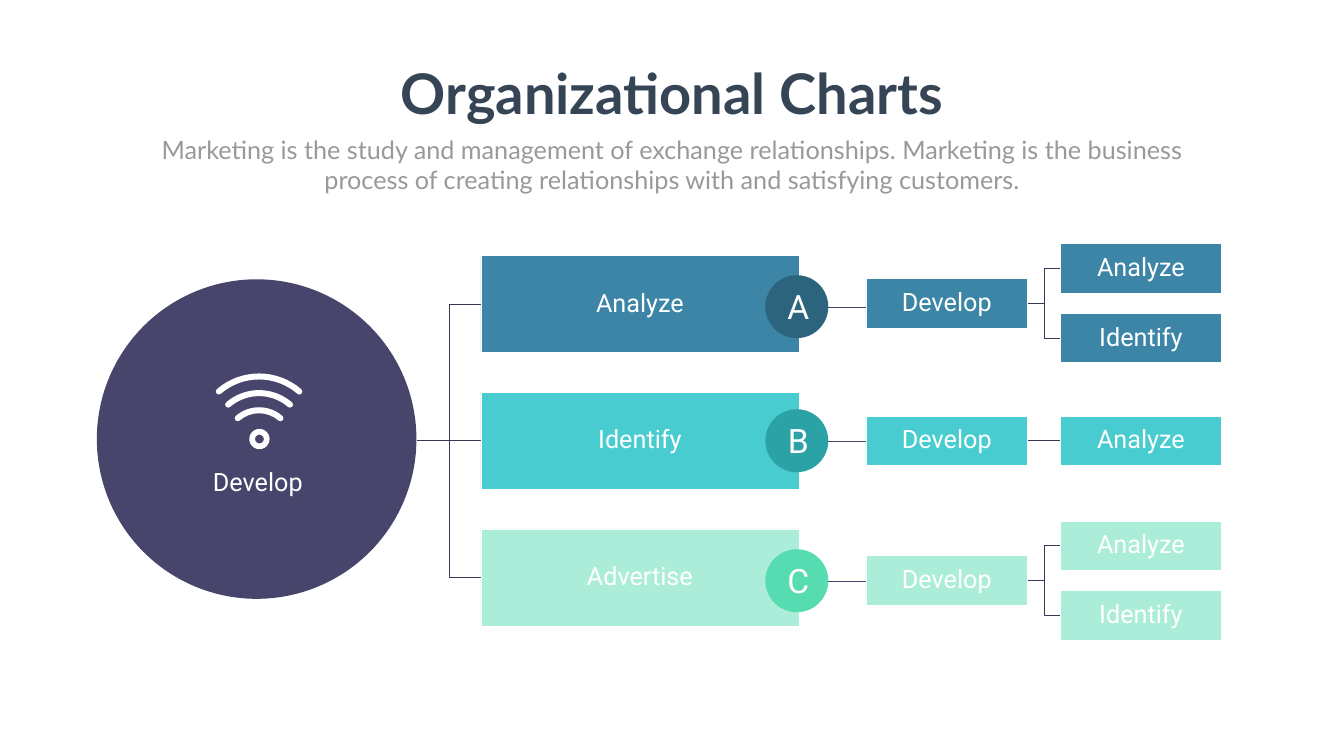
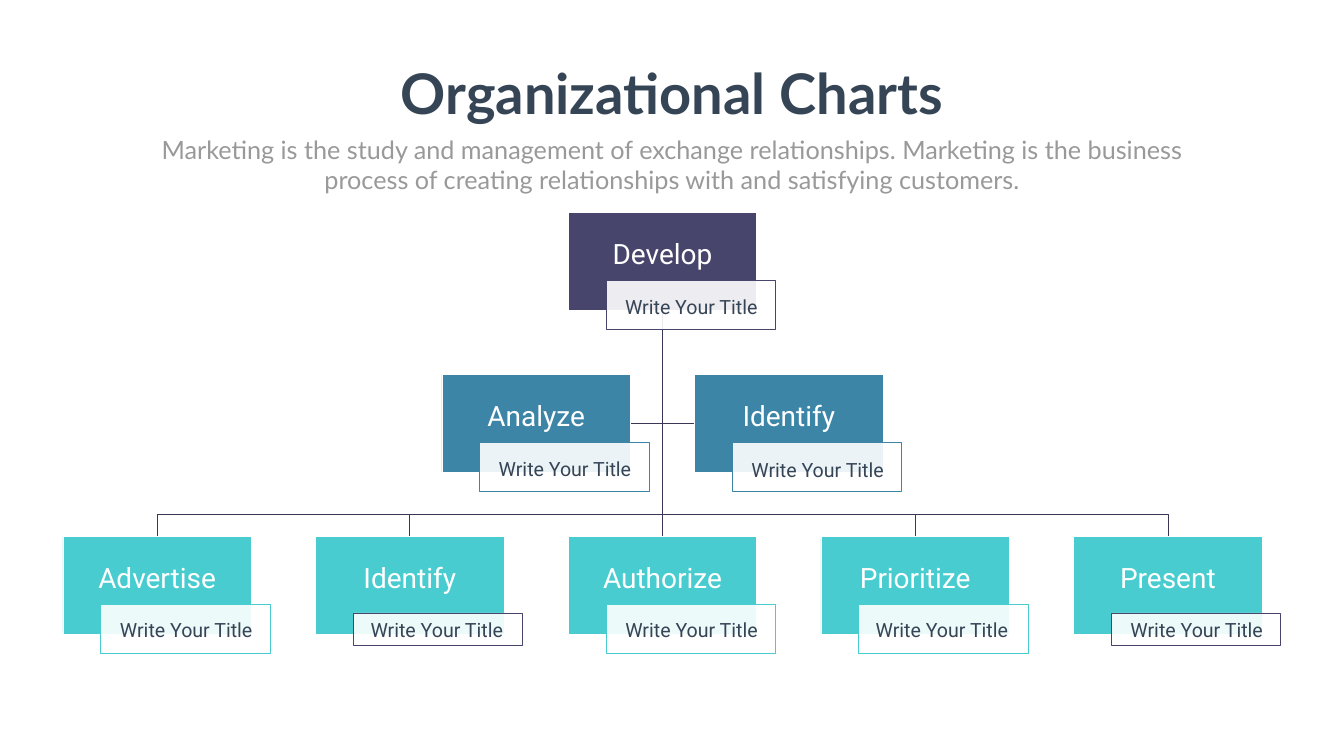
import math

from lxml import etree
from pptx import Presentation
from pptx import util as u
from pptx.dml import color
from pptx.enum import shapes, text
from pptx.oxml import ns

NAVY, BLUE, TEAL, MINT = "48456C", "3C85A7", "48CCCF", "ABEDD8"
INK, GREY, WHITE, WIRE = "364556", "999999", "FFFFFF", "3A3756"

HEADING = "Organizational Charts"
SUMMARY = ("Marketing is the study and management of exchange relationships. "
           "Marketing is the business process of creating relationships with "
           "and satisfying customers.")

HEADING_FONT = {"name": "Lato", "size": u.Pt(80), "bold": True}
SUMMARY_FONT = {"name": "Lato", "size": u.Pt(36), "bold": False}

RECT = shapes.MSO_SHAPE.RECTANGLE
OVAL = shapes.MSO_SHAPE.OVAL
TOP, MIDDLE = text.MSO_ANCHOR.TOP, text.MSO_ANCHOR.MIDDLE


def rgb(code):
    return color.RGBColor.from_string(code)


def roboto(points):
    return {"name": "Roboto", "size": u.Pt(points)}


def put_text(frame, words, font, ink, insets=None, spacing=1.0, anchor=TOP, wrap=True):
    """Fill a frame with one centred paragraph; insets are left, top, right, bottom."""
    layout = {"word_wrap": wrap, "vertical_anchor": anchor,
              "auto_size": text.MSO_AUTO_SIZE.NONE}
    if insets:
        sides = ("left", "top", "right", "bottom")
        layout.update({f"margin_{side}": u.Pt(gap) for side, gap in zip(sides, insets)})
    for key, value in layout.items():
        setattr(frame, key, value)
    line = frame.paragraphs[0]
    for key, value in {"alignment": text.PP_ALIGN.CENTER, "line_spacing": spacing,
                       "space_before": u.Pt(0)}.items():
        setattr(line, key, value)
    run = line.add_run()
    run.text = words
    for key, value in font.items():
        setattr(run.font, key, value)
    run.font.color.rgb = rgb(ink)


def caption(slide, box, words, size, ink, **layout):
    holder = slide.shapes.add_textbox(*map(u.Pt, box))
    put_text(holder.text_frame, words, roboto(size), ink, **layout)


def paint(shape, fill=None, outline=None, alpha=None):
    shape.shadow.inherit = False
    if fill:
        shape.fill.solid()
        shape.fill.fore_color.rgb = rgb(fill)
        if alpha:
            tint = shape.element.spPr.find(".//" + ns.qn("a:srgbClr"))
            etree.SubElement(tint, ns.qn("a:alpha"), val=str(alpha * 1000))
    else:
        shape.fill.background()
    if outline:
        shape.line.color.rgb = rgb(outline)
        shape.line.width = u.Pt(1)
    else:
        shape.line.fill.background()


def block(slide, kind, box, fill, outline=None, alpha=None):
    shape = slide.shapes.add_shape(kind, *map(u.Pt, box))
    paint(shape, fill, outline, alpha)
    return shape


def label_box(slide, box, words, fill, size=36, bottom=2):
    """A white-edged rectangle with a white label."""
    shape = block(slide, RECT, box, fill, WHITE)
    put_text(shape.text_frame, words, roboto(size), WHITE, (2, 2, 2, bottom), 0.9, MIDDLE)


def stem(slide, start, end):
    link = slide.shapes.add_connector(shapes.MSO_CONNECTOR.STRAIGHT,
                                      *map(u.Pt, (*start, *end)))
    link.line.color.rgb = rgb(NAVY)
    link.line.width = u.Pt(0.5)
    etree.SubElement(link.element.spPr, ns.qn("a:effectLst"))


def outline_shape(slide, points, close):
    corners = [(u.Pt(x), u.Pt(y)) for x, y in points]
    builder = slide.shapes.build_freeform(*corners[0])
    builder.add_line_segments(corners[1:], close=close)
    return builder.convert_to_shape()


def give_depth(shape, edge, extent, axis, size_key, pad=u.Pt(3.6)):
    """Widen the frame of a flat outline, leaving its line in the middle."""
    setattr(shape, edge, getattr(shape, edge) - pad)
    setattr(shape, extent, 2 * pad)
    route = shape.element.spPr.find(".//" + ns.qn("a:path"))
    route.set(size_key, str(2 * pad))
    for point in route.iter(ns.qn("a:pt")):
        point.set(axis, str(pad))


def wire(slide, *points):
    """Link the points in order."""
    route = outline_shape(slide, points, close=False)
    if route.width == 0:
        give_depth(route, "left", "width", "x", "w")
    if route.height == 0:
        give_depth(route, "top", "height", "y", "h")
    paint(route, outline=WIRE)


def across(slide, start, end):
    """An elbow that turns halfway between two columns."""
    if start[1] == end[1]:
        wire(slide, start, end)
        return
    middle = (start[0] + end[0]) / 2
    wire(slide, start, (middle, start[1]), (middle, end[1]), end)


def polar(centre, radius, degrees):
    """A point at an angle measured clockwise from straight up."""
    turn = math.radians(degrees)
    return centre[0] + radius * math.sin(turn), centre[1] - radius * math.cos(turn)


def arc_curves(centre, radius, start, end):
    """Control and end points of two Bezier curves that follow an arc."""
    points = []
    half = (end - start) / 2
    reach = radius * 4 / 3 * math.tan(math.radians(half / 4))
    for first in (start, start + half):
        last = first + half
        points += [polar(polar(centre, radius, first), reach, first + 90),
                   polar(polar(centre, radius, last), reach, last - 90),
                   polar(centre, radius, last)]
    return points


def signal_arc(slide, centre, radius, spread=41, half=4.3):
    """A band with round ends, open to either side of straight up."""
    right, left = (polar(centre, radius, end) for end in (spread, -spread))
    edge = [polar(centre, radius + half, -spread)]
    edge += arc_curves(centre, radius + half, -spread, spread)
    edge += arc_curves(right, half, spread, spread + 180)
    edge += arc_curves(centre, radius - half, spread, -spread)
    edge += arc_curves(left, half, 180 - spread, 360 - spread)
    band = outline_shape(slide, edge, close=True)
    steps = list(band.element.spPr.iter(ns.qn("a:lnTo")))
    for step, second, third in zip(steps[::3], steps[1::3], steps[2::3]):
        curve = etree.Element(ns.qn("a:cubicBezTo"))
        step.addprevious(curve)
        for used in (step, second, third):
            curve.append(used[0])
            used.getparent().remove(used)
    paint(band, WHITE)


def signal_icon(slide, x):
    for apex, radius in ((537.8, 87.6), (561.6, 67.3), (586.1, 46.5)):
        signal_arc(slide, (x, apex + radius), radius)
    ring = block(slide, shapes.MSO_SHAPE.DONUT, (x - 14, 612.7, 29, 29), WHITE)
    ring.adjustments[0] = 0.28


def new_slide(deck):
    """A slide with the shared heading and summary."""
    slide = deck.slides.add_slide(deck.slide_layouts[0])
    parts = (
        (HEADING, HEADING_FONT, INK, (554.4, 80.6, 810.7, 104.4), False),
        (SUMMARY, SUMMARY_FONT, GREY, (210.2, 187.9, 1499, 94.3), True),
    )
    for holder, (words, font, ink, box, wrap) in zip(slide.placeholders, parts):
        for side, value in zip(("left", "top", "width", "height"), box):
            setattr(holder, side, u.Pt(value))
        put_text(holder.text_frame, words, font, ink, wrap=wrap)
    return slide


def branch_slide(deck):
    slide = new_slide(deck)
    root_y, pitch = 629.7, 195.5
    branch_x, branch_w, branch_h = 686.8, 454.3, 139
    step_x, leaf_x, leaf_w, leaf_h = 1236.8, 1514, 231, 70.6
    badge_x, badge = 1093, 90
    # name, letter, fill, badge fill, badge centre, step centre, leaves
    branches = (
        ("Analyze", "A", BLUE, "2D647D", 438.1, 433.3, ("Analyze", "Identify")),
        ("Identify", "B", TEAL, "2BA3A6", 629.6, 629.7, ("Analyze",)),
        ("Advertise", "C", MINT, "57DBB1", 829.6, 829.3, ("Analyze", "Identify")),
    )
    block(slide, OVAL, (138.3, 399, 456.5, 456.5), NAVY)
    caption(slide, (141.1, 360.7, 454.3, 537.1), "Develop", 36, WHITE,
            insets=(0, 122.4, 0, 0), spacing=0.9, anchor=MIDDLE)
    signal_icon(slide, 370)

    for row, (name, letter, fill, dark, badge_y, step_y, leaves) in enumerate(branches):
        y = root_y + (row - 1) * pitch
        across(slide, (596.2, root_y), (branch_x, y))
        label_box(slide, (branch_x, y - branch_h / 2, branch_w, branch_h), name, fill)
        badge_top = badge_y - badge / 2
        block(slide, OVAL, (badge_x, badge_top, badge, badge), dark)
        caption(slide, (badge_x + 15.1, badge_top + 12.4, 64.1, 65.5), letter, 48, WHITE)
        stem(slide, (badge_x + badge, badge_y + 0.4), (step_x, badge_y + 0.4))

        for place, leaf in enumerate(leaves):
            leaf_y = step_y + (place - (len(leaves) - 1) / 2) * 99.4
            across(slide, (step_x + leaf_w, step_y), (leaf_x, leaf_y))
            label_box(slide, (leaf_x, leaf_y - leaf_h / 2, leaf_w, leaf_h), leaf, fill)
        label_box(slide, (step_x, step_y - leaf_h / 2, leaf_w, leaf_h), "Develop", fill)


def card(slide, x, top, name, fill, edge, title_x=-77.4, title_y=113.8):
    """A named box centred on x, with a title tag over its lower right corner."""
    left = x - 134.6
    label_box(slide, (left, top, 269.1, 139), name, fill, 40, 19.4)
    tag_top, tag_h = (96.5, 69.8) if edge == fill else (108.6, 46)
    block(slide, RECT, (left + 54, top + tag_top, 241.9, tag_h), WHITE, edge, 90)
    caption(slide, (x + title_x, top + title_y, 236.9, 41), "Write Your Title", 28, INK)


def tree_slide(deck):
    slide = new_slide(deck)
    trunk_x, pitch = 946.2, 360.9
    trunk_top, side_y, bus_y = 443.5, 605, 734.4
    head_top, pair_top, team_top = 303.9, 535.5, 766.9
    # columns from the trunk, name, top of the title
    pair = ((-0.5, "Analyze", 113.8), (0.5, "Identify", 115.2))
    # columns from the trunk, name, tag edge, left of the title
    team = ((-2, "Advertise", TEAL, -77), (-1, "Identify", NAVY, -80),
            (0, "Authorize", TEAL, -77), (1, "Prioritize", TEAL, -80.4),
            (2, "Present", NAVY, -77.4))

    for column, _, _ in pair:
        wire(slide, (trunk_x, trunk_top), (trunk_x, side_y),
             (trunk_x + column * 92, side_y))
    for column, _, _, _ in team:
        x = trunk_x + column * pitch
        turns = ((trunk_x, bus_y), (x, bus_y)) if column else ()
        wire(slide, (trunk_x, trunk_top), *turns, (x, team_top))

    card(slide, trunk_x, head_top, "Develop", NAVY, NAVY)
    for column, name, edge, title_x in team:
        card(slide, trunk_x + column * pitch, team_top, name, TEAL, edge, title_x, 112.2)
    for column, name, title_y in pair:
        card(slide, trunk_x + column * pitch, pair_top, name, BLUE, BLUE, title_y=title_y)


def main():
    deck = Presentation()
    deck.slide_width, deck.slide_height = u.Pt(1919.5), u.Pt(1080)
    branch_slide(deck)
    tree_slide(deck)
    deck.save("out.pptx")


if __name__ == "__main__":
    main()
